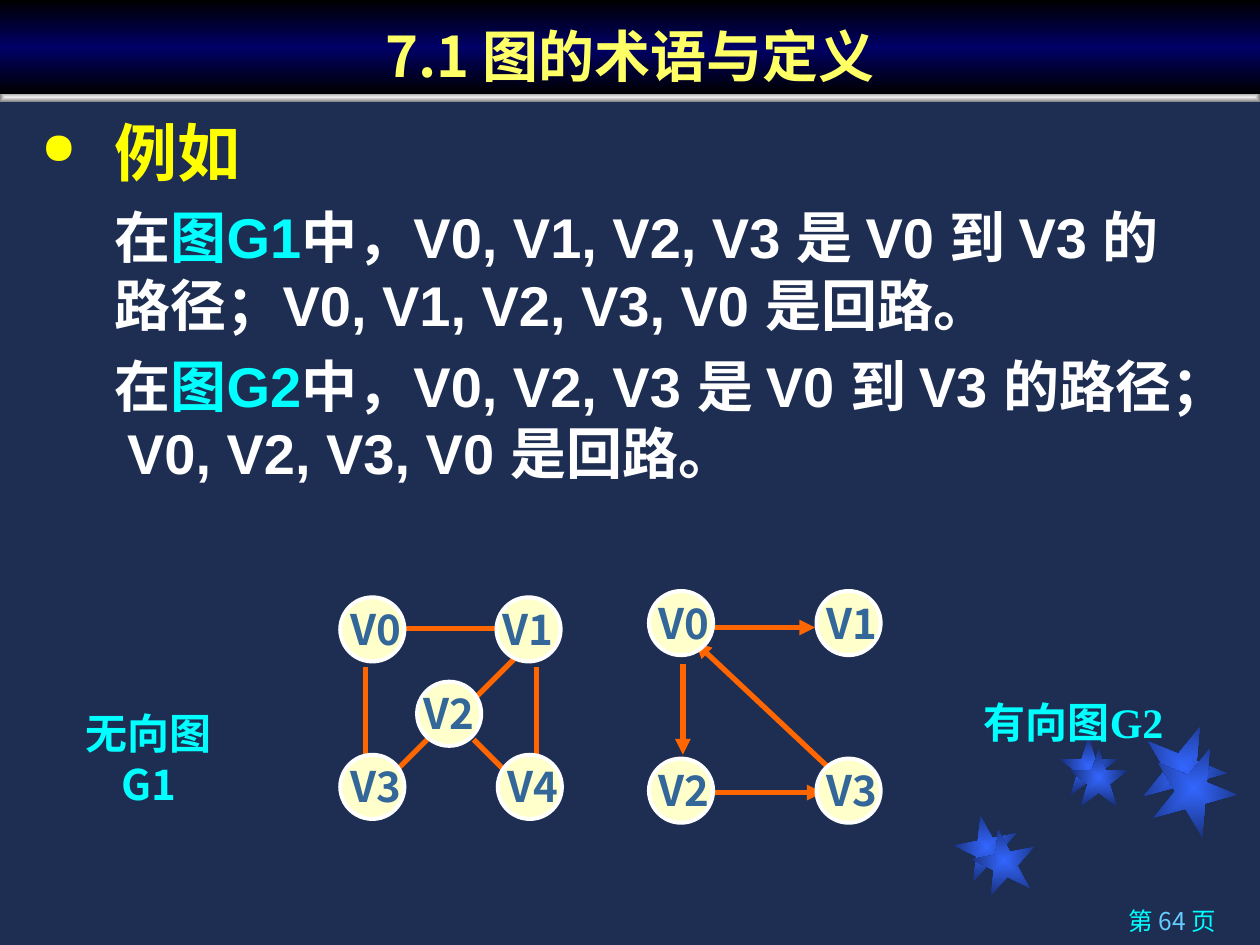
from lxml.etree import SubElement
from pptx import Presentation
from pptx.dml.color import RGBColor as Rgb
from pptx.enum.shapes import MSO_CONNECTOR as Link, MSO_SHAPE as Shape
from pptx.enum.text import MSO_ANCHOR as Anchor, PP_ALIGN as Align
from pptx.oxml import parse_xml
from pptx.oxml.ns import nsdecls, qn
from pptx.util import Inches, Pt

THEME = {
    "page": "1E2E53", "white": "FFFFFF", "cyan": "00FFFF", "sky": "66CCFF",
    "yellow": "FFFF00", "title": "FFFF66", "node": "FFFFCC", "name": "336699",
    "edge": "FF6600", "sans": "Noto Sans CJK SC", "arial": "Arial",
    "serif": "Times New Roman", "small": 14, "label": 24, "body": 32, "head": 36,
}
STAR = ["3366FF", "182F76"]
BAR = ["EDEDED", "808080"]
BANNER = ["000000", "000066", "000000"]
CENTRE = '<a:path path="rect"><a:fillToRect l="50000" t="50000" r="50000" b="50000"/></a:path>'
DOWN = '<a:lin ang="5400000" scaled="0"/>'

deck = Presentation()
deck.slide_width, deck.slide_height = Inches(10), Inches(7.5)
COLUMN, ROW = deck.slide_width / 100, deck.slide_height / 75
page = deck.slides.add_slide(deck.slide_layouts[6])
page.background.fill.solid()
page.background.fill.fore_color.rgb = Rgb.from_string(THEME["page"])


def grid(*lengths):
    """Turn alternating columns and rows into slide lengths."""
    return [round(n * (ROW if i % 2 else COLUMN)) for i, n in enumerate(lengths)]


def write(para, *spans, size, font="sans", bold=True, align=Align.LEFT, before=0):
    """Fill a paragraph with (text, colour) spans."""
    para.alignment = align
    para.space_before = Pt(before)
    para.line_spacing = Pt(THEME[size] * 1.2)
    for text, colour in spans:
        span = para.add_run()
        span.text = text
        span.font.size = Pt(THEME[size])
        span.font.bold = bold
        span.font.name = THEME[font]
        span.font.color.rgb = Rgb.from_string(THEME[colour])
        SubElement(span.font._element, qn("a:ea"), typeface=THEME["sans"])


# Stars, rule and title banner, all with gradients
decor = [
    (Shape.STAR_5_POINT, (75.8, 64.7, 5, 5), -11, STAR, CENTRE),
    (Shape.STAR_5_POINT, (84.1, 58.5, 4.6, 4.6), 0, STAR, CENTRE),
    (Shape.STAR_5_POINT, (90.6, 57.5, 6.7, 6.7), 22, STAR, CENTRE),
    (Shape.STAR_5_POINT, (77.2, 65.8, 5, 5), -11, STAR, CENTRE),
    (Shape.STAR_5_POINT, (84.9, 59.4, 4.6, 4.6), 0, STAR, CENTRE),
    (Shape.STAR_5_POINT, (91.4, 59.2, 6.7, 6.7), 22, STAR, CENTRE),
    (Shape.RECTANGLE, (0, 7.3, 100, 0.8), 0, BAR, CENTRE),
    (Shape.RECTANGLE, (0, 0, 100, 7.5), 0, BANNER, DOWN),
]
for kind, place, turn, colours, direction in decor:
    box = page.shapes.add_shape(kind, *grid(*place))
    box.rotation = turn
    box.shadow.inherit = False
    box.line.fill.background()
    box.fill.background()
    stops = "".join(
        f'<a:gs pos="{100000 * i // (len(colours) - 1)}"><a:srgbClr val="{colour}"/></a:gs>'
        for i, colour in enumerate(colours))
    gradient = parse_xml(f'<a:gradFill {nsdecls("a")} rotWithShape="1">'
                         f'<a:gsLst>{stops}</a:gsLst>{direction}</a:gradFill>')
    properties = box._element.spPr
    properties.replace(properties.find(qn("a:noFill")), gradient)

# Title, in the banner drawn last
box.text_frame.vertical_anchor = Anchor.BOTTOM
box.text_frame.word_wrap = True
write(box.text_frame.paragraphs[0], ("7.1 图的术语与定义", "title"),
      size="body", align=Align.CENTER)

# Body: a bulleted heading and two indented paragraphs
frame = page.shapes.add_textbox(*grid(2.3, 8.5, 94, 31)).text_frame
frame.word_wrap = True
heading = frame.paragraphs[0]
bullet = heading._p.get_or_add_pPr()
bullet.set("indent", str(-Inches(0.58)))
SubElement(SubElement(bullet, qn("a:buClr")), qn("a:srgbClr"), val=THEME["yellow"])
SubElement(bullet, qn("a:buSzPct"), val="70000")
SubElement(bullet, qn("a:buChar"), char="●")
write(heading, ("例如", "yellow"), size="head", font="arial")
examples = [
    ("图G1", "中，V0, V1, V2, V3 是 V0 到 V3 的路径；V0, V1, V2, V3, V0 是回路。"),
    ("图G2", "中，V0, V2, V3 是 V0 到 V3 的路径； V0, V2, V3, V0 是回路。"),
]
for graph, paths in examples:
    write(frame.add_paragraph(), ("在", "white"), (graph, "cyan"), (paths, "white"),
          size="body", font="arial", before=8)
for para in frame.paragraphs:
    para._p.get_or_add_pPr().set("marL", str(Inches(0.58)))

# Graph captions and page number
captions = [
    ((4, 55.7, 15.6, 9), [("无向图G1", "cyan")],
     {"size": "label", "align": Align.CENTER}),
    ((77.1, 54.8, 17.5, 5), [("有向图G2", "cyan")],
     {"size": "label", "font": "serif"}),
    ((71.2, 71.4, 26.3, 3.6), [("第 ", "cyan"), ("64 ", "sky"), ("页", "cyan")],
     {"size": "small", "bold": False, "align": Align.RIGHT}),
]
for place, spans, style in captions:
    frame = page.shapes.add_textbox(*grid(*place)).text_frame
    frame.word_wrap = True
    write(frame.paragraphs[0], *spans, **style)

# Graphs: edges (from, to), then nodes (name, left, top, label shift)
undirected = {
    "edges": [(29, 52.9, 29, 60.1), (31.9, 49.9, 40.2, 49.9), (42.6, 52.9, 42.6, 60.1),
              (34.3, 58.3, 31.3, 61.3), (40.8, 52.3, 37.8, 55.3), (37.6, 58.7, 40.2, 61.3)],
    "nodes": [("V0", 27, 47.4, 0.5), ("V4", 39.5, 59.9, 0.5), ("V3", 27, 59.9, 0.5),
              ("V1", 39.4, 47.4, 0.8), ("V2", 33.1, 54.1, 0.8)],
    "arrows": False,
}
directed = {
    "edges": [(54.2, 52.7, 54.2, 59.9), (56.5, 62.9, 65.3, 62.9),
              (56.5, 49.8, 64.7, 49.8), (66.8, 61.9, 55.2, 51)],
    "nodes": [(f"V{2 * row + column}", 51.5 + 13.3 * column, 46.9 + 13.3 * row, 0.5)
              for row in range(2) for column in range(2)],
    "arrows": True,
}
for graph in (undirected, directed):
    for ends in graph["edges"]:
        edge = page.shapes.add_connector(Link.STRAIGHT, *grid(*ends))
        edge.line.color.rgb = Rgb.from_string(THEME["edge"])
        edge.line.width = Pt(3)
        if graph["arrows"]:
            SubElement(edge.line._get_or_add_ln(), qn("a:tailEnd"), type="triangle")
        SubElement(edge._element.spPr, qn("a:effectLst"))
    for name, left, top, shift in graph["nodes"]:
        node = page.shapes.add_shape(Shape.OVAL, *grid(left, top, 5.1, 5.1))
        node.shadow.inherit = False
        node.fill.solid()
        node.fill.fore_color.rgb = Rgb.from_string(THEME["node"])
        node.line.color.rgb = Rgb.from_string(THEME["white"])
        node.line.width = Pt(2.25)
        frame = page.shapes.add_textbox(*grid(left - shift, top, 7.1, 5)).text_frame
        frame.word_wrap = True
        frame.margin_left = Inches(0.13)
        write(frame.paragraphs[0], (name, "name"), size="label")

deck.save("out.pptx")
